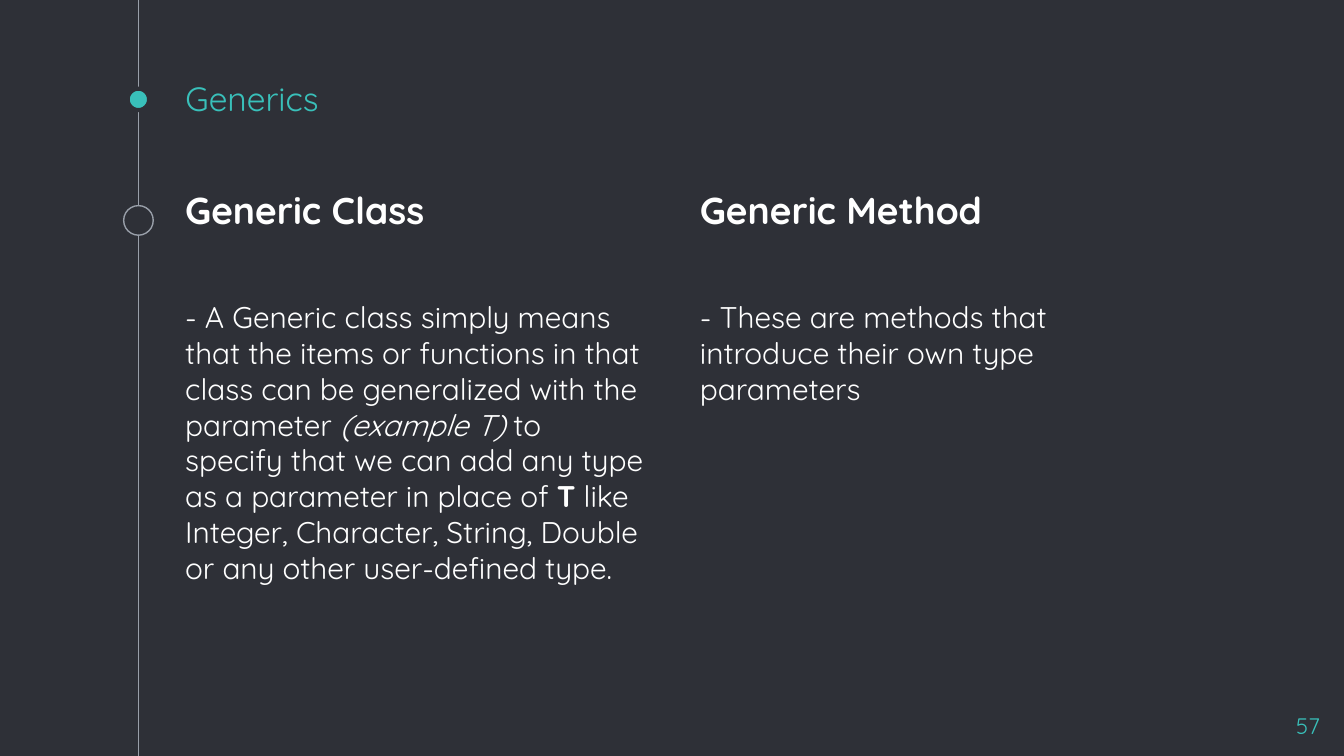
from lxml.etree import SubElement
from pptx import Presentation
from pptx.dml.color import RGBColor
from pptx.enum.shapes import MSO_CONNECTOR as Link, MSO_SHAPE as Shape
from pptx.enum.text import MSO_ANCHOR as Anchor, MSO_AUTO_SIZE as Fit, PP_ALIGN as Align
from pptx.oxml.ns import qn
from pptx.util import Inches, Pt


def color(code):
    return RGBColor.from_string(code)


class Deck:
    font = "Quicksand"
    dark, teal, gray, white = "2E3037", "39C0BA", "999FA9", "FFFFFF"

    def __init__(self, width, height):
        self.prs = Presentation()
        self.prs.slide_width = Inches(width)
        self.prs.slide_height = Inches(height)
        self.slide = self.prs.slides.add_slide(self.prs.slide_layouts[5])
        fill = self.slide.background.fill
        fill.solid()
        fill.fore_color.rgb = color(self.dark)

    def style(self, run, size, code, bold=False, italic=False):
        font = run.font
        font.name, font.size = self.font, Pt(size)
        font.bold, font.italic = bold, italic
        font.color.rgb = color(code)

    def edge(self, shape, code, weight):
        shape.line.color.rgb = color(code)
        shape.line.width = Pt(weight)

    def frame(self, shape, anchor=Anchor.TOP):
        frame = shape.text_frame
        frame.word_wrap = True
        frame.auto_size = Fit.NONE
        frame.vertical_anchor = anchor
        frame.margin_left = frame.margin_right = Inches(0.1)
        frame.margin_top = frame.margin_bottom = Inches(0.1)
        return frame

    def line(self, x, top, end):
        line = self.slide.shapes.add_connector(
            Link.STRAIGHT, Inches(x), Inches(top), Inches(x), Inches(end))
        self.edge(line, self.gray, 0.75)
        SubElement(line._element.spPr, qn("a:effectLst"))

    def dot(self, x, y, size, fill, code, weight):
        dot = self.slide.shapes.add_shape(
            Shape.OVAL, Inches(x - size / 2), Inches(y - size / 2),
            Inches(size), Inches(size))
        dot.shadow.inherit = False
        dot.fill.solid()
        dot.fill.fore_color.rgb = color(fill)
        self.edge(dot, code, weight)

    def title(self, text, x, y, width, height):
        title = self.slide.shapes.title
        title.left, title.top = Inches(x), Inches(y)
        title.width, title.height = Inches(width), Inches(height)
        frame = self.frame(title, Anchor.BOTTOM)
        frame.text = text
        para = frame.paragraphs[0]
        para.alignment = Align.LEFT
        self.style(para.runs[0], 18, self.teal)

    def box(self, x, y, width, height):
        return self.slide.shapes.add_textbox(
            Inches(x), Inches(y), Inches(width), Inches(height))

    def number(self, text, x, y, width, height):
        frame = self.frame(self.box(x, y, width, height))
        frame.text = text
        para = frame.paragraphs[0]
        para.alignment = Align.RIGHT
        self.style(para.runs[0], 12, self.teal)

    def column(self, head, parts, x, y, width, height):
        box = self.box(x, y, width, height)
        self.edge(box, self.dark, 0.75)
        frame = self.frame(box)
        frame.text = head
        top = frame.paragraphs[0]
        top.space_before = Pt(6)
        self.style(top.runs[0], 20, self.white, bold=True)
        body = frame.add_paragraph()
        body.space_before = Pt(36)
        for text, mark in parts:
            run = body.add_run()
            run.text = text
            self.style(run, 16, self.white, mark == "bold", mark == "italic")


def main():
    # Widescreen, 16 to 9
    wide = 10
    high = wide * 9 / 16
    deck = Deck(wide, high)

    # Timeline at the left
    axis = 1.03
    deck.line(axis, 0, high)
    deck.dot(axis, 0.74, 0.16, deck.teal, deck.dark, 2.25)
    deck.dot(axis, 1.64, 0.22, deck.dark, deck.gray, 0.75)

    # Title and slide number
    left = 1.28
    deck.title("Generics", left, 0.6, 7.5, 0.38)
    deck.number("57", 9.32, 5.2, 0.6, 0.34)

    # Two text columns
    columns = [
        ("Generic Class", [
            ("- A Generic class simply means that the items or functions in "
             "that class can be generalized with the parameter ", ""),
            ("(example T)", "italic"),
            (" to specify that we can add any type as a parameter in place "
             "of ", ""),
            ("T", "bold"),
            (" like Integer, Character, String, Double or any other "
             "user-defined type.", "")]),
        ("Generic Method", [
            ("- These are methods that introduce their own type parameters",
             "")]),
    ]
    width, gap = 3.62, 0.21
    for i, (head, parts) in enumerate(columns):
        deck.column(head, parts, left + i * (width + gap), 1.29, width, 4.07)

    deck.prs.save("out.pptx")


if __name__ == "__main__":
    main()
